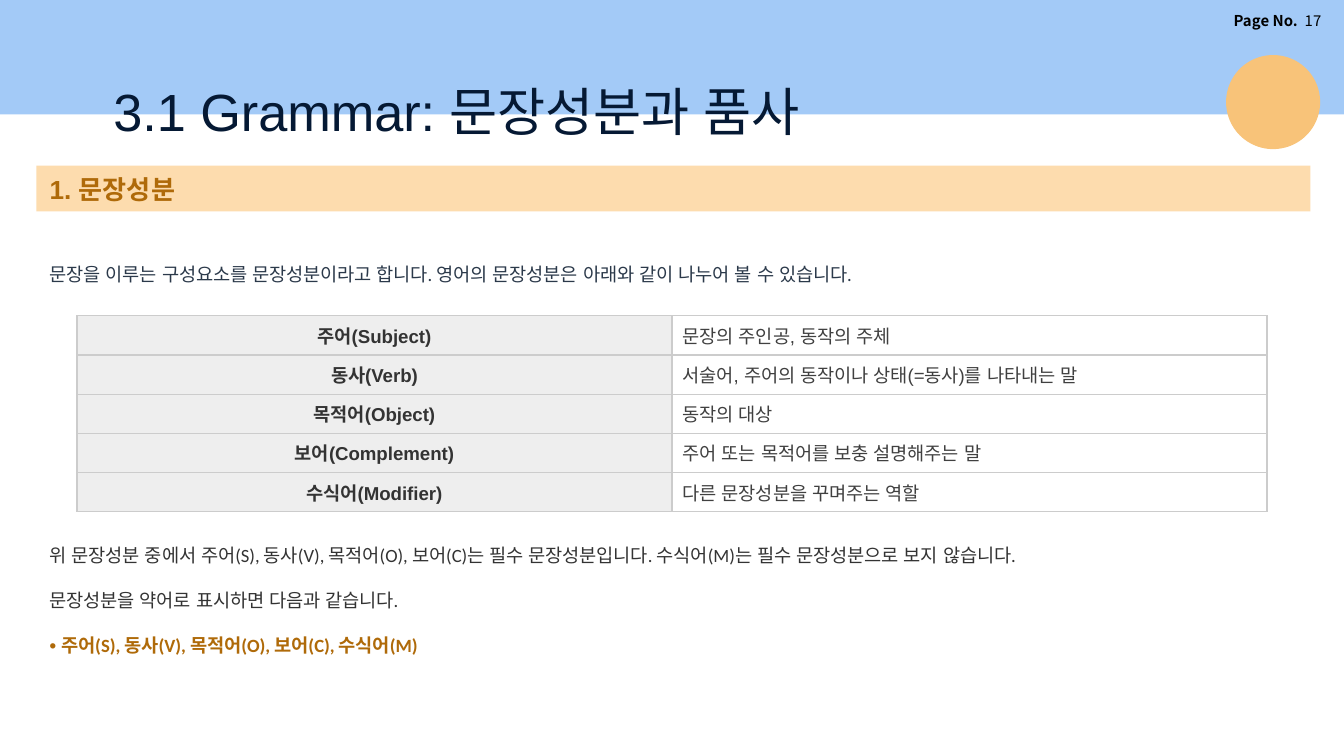
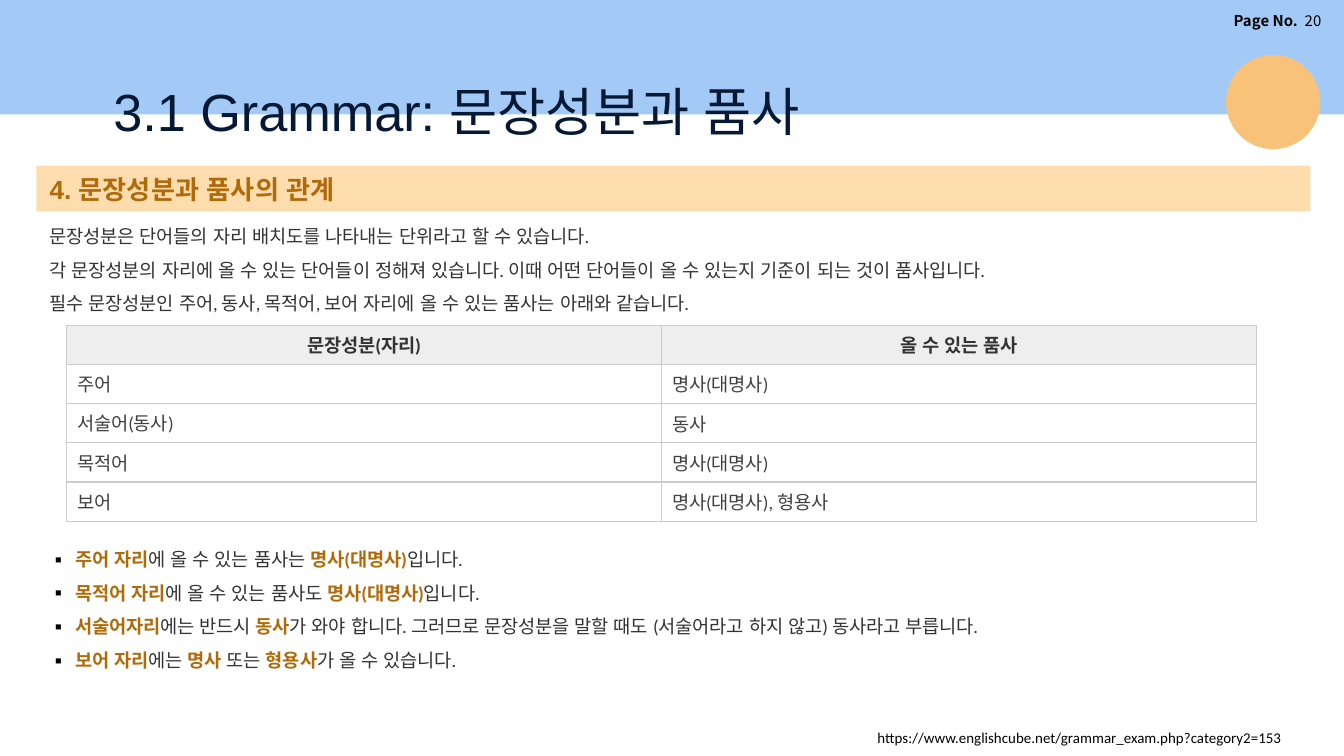
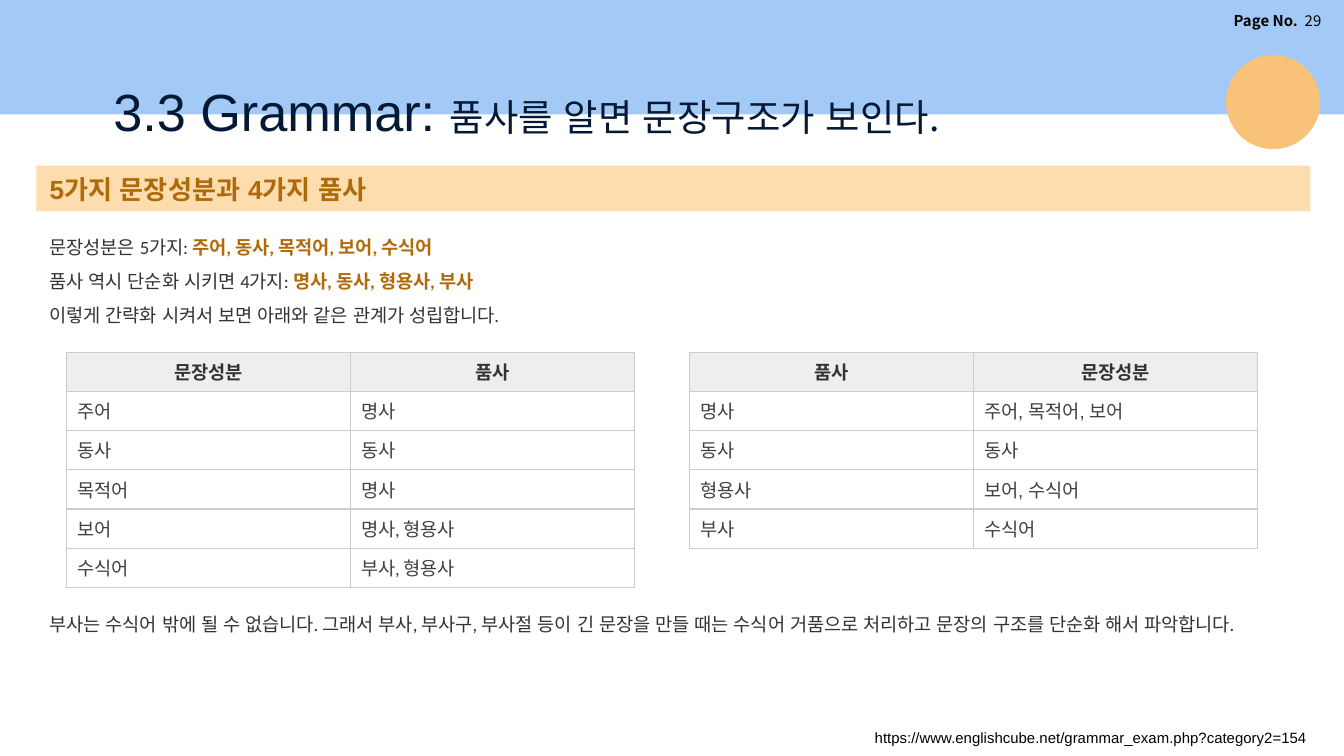
"""Build three English-grammar lesson slides on sentence elements and parts of speech."""
from dataclasses import dataclass
from typing import NamedTuple

from lxml import etree
from pptx import Presentation
from pptx.dml.color import RGBColor
from pptx.enum.shapes import MSO_SHAPE
from pptx.enum.text import MSO_ANCHOR, PP_ALIGN
from pptx.oxml.ns import qn
from pptx.util import Emu, Inches, Pt

RECTANGLE, OVAL = MSO_SHAPE.RECTANGLE, MSO_SHAPE.OVAL
TOP, MIDDLE = MSO_ANCHOR.TOP, MSO_ANCHOR.MIDDLE
LEFT, CENTER, RIGHT = PP_ALIGN.LEFT, PP_ALIGN.CENTER, PP_ALIGN.RIGHT

SKY = RGBColor(0xA3, 0xCA, 0xF7)
SUN = RGBColor(0xF8, 0xC3, 0x79)
PEACH = RGBColor(0xFD, 0xDC, 0xAE)
BROWN = RGBColor(0xAF, 0x6A, 0x09)
NAVY = RGBColor(0x05, 0x19, 0x34)
SLATE = RGBColor(0x2B, 0x39, 0x4A)
CHARCOAL = RGBColor(0x33, 0x33, 0x33)
GRAY = RGBColor(0x40, 0x40, 0x40)
PALE = RGBColor(0xEE, 0xEE, 0xEE)
WHITE = RGBColor(0xFF, 0xFF, 0xFF)
BLACK = RGBColor(0, 0, 0)
BORDER = "CCCCCC"
ARIAL, CALIBRI, KOREAN = "Arial", "Calibri", "Noto Sans CJK KR"

SLIDE_WIDTH = Inches(10)
SLIDE_HEIGHT = Emu(SLIDE_WIDTH * 9 // 16)
UNIT = SLIDE_WIDTH / 100
TABLE_ROW = 2.92
CELL_TOP, CELL_BOTTOM = Inches(0.07), Inches(0.05)
BULLET_INDENT = Inches(0.19)


class Box(NamedTuple):
    """Place on a grid of square cells, 100 to the slide's width."""
    left: float
    top: float
    width: float
    height: float

    def emu(self) -> list[Emu]:
        return [Emu(round(cells * UNIT)) for cells in self]


@dataclass(frozen=True)
class Run:
    """Stretch of text in one style."""
    text: str
    color: RGBColor = CHARCOAL
    bold: bool = False
    size: float = 10
    font: str = CALIBRI


@dataclass(frozen=True)
class Passage:
    """Text block with its paragraphs."""
    box: Box
    lines: list[list[Run]]
    line_spacing: float = 1
    gap: float = 0
    bullet: str = ""
    anchor: MSO_ANCHOR = TOP
    align: PP_ALIGN = LEFT


@dataclass(frozen=True)
class Grid:
    """Two-column table with a header row or a header column."""
    left: float
    top: float
    column: float
    rows: list[tuple[str, str]]
    font: str = CALIBRI
    header_column: bool = False


@dataclass(frozen=True)
class Lesson:
    """Content of one slide."""
    page: str
    title: list[Run]
    section: str
    passages: list[Passage]
    grids: list[Grid]


def key(text: str) -> Run:
    """Return a highlighted run."""
    return Run(text, BROWN, True)


def heading(text: str, size: float = 28, font: str = ARIAL) -> Run:
    """Return a run of the slide title."""
    return Run(text, NAVY, size=size, font=font)


def source(left: float, width: float, category: int, font: str) -> Passage:
    """Return the web address at the foot of the slide."""
    address = f"https://www.englishcube.net/grammar_exam.php?category2={category}"
    return Passage(Box(left, 53.7, width, 2.4), [[Run(address, BLACK, size=8, font=font)]])


def write(paragraph, runs: list[Run]) -> None:
    """Append styled runs to a paragraph."""
    for item in runs:
        run = paragraph.add_run()
        run.text = item.text
        run.font.size = Pt(item.size)
        run.font.bold = item.bold
        run.font.color.rgb = item.color
        run.font.name = item.font
        etree.SubElement(run.font._element, qn("a:ea"), typeface=ARIAL)


def add_bullet(paragraph, mark: str) -> None:
    """Give a paragraph a black hanging bullet."""
    properties = paragraph._p.get_or_add_pPr()
    properties.set("marL", str(BULLET_INDENT))
    properties.set("indent", str(-BULLET_INDENT))
    color = etree.SubElement(properties, qn("a:buClr"))
    etree.SubElement(color, qn("a:srgbClr"), val=str(BLACK))
    etree.SubElement(properties, qn("a:buFont"), typeface=KOREAN)
    etree.SubElement(properties, qn("a:buChar"), char=mark)


def add_passage(slide, passage: Passage) -> None:
    """Draw a wrapped text block."""
    frame = slide.shapes.add_textbox(*passage.box.emu()).text_frame
    frame.word_wrap = True
    frame.vertical_anchor = passage.anchor
    for index, runs in enumerate(passage.lines):
        paragraph = frame.add_paragraph() if index else frame.paragraphs[0]
        if passage.bullet:
            add_bullet(paragraph, passage.bullet)
        paragraph.alignment = passage.align
        paragraph.line_spacing = passage.line_spacing
        if index and passage.gap:
            paragraph.space_before = Pt(passage.gap)
        write(paragraph, runs)


def add_block(slide, kind: MSO_SHAPE, box: Box, color: RGBColor):
    """Draw a flat filled shape."""
    block = slide.shapes.add_shape(kind, *box.emu())
    block.shadow.inherit = False
    block.fill.solid()
    block.fill.fore_color.rgb = color
    block.line.fill.background()
    return block


def add_borders(cell) -> None:
    """Rule all four sides of a table cell."""
    properties = cell._tc.get_or_add_tcPr()
    for side in ("lnL", "lnR", "lnT", "lnB"):
        line = etree.SubElement(properties, qn(f"a:{side}"), w=str(Pt(0.75)))
        fill = etree.SubElement(line, qn("a:solidFill"))
        etree.SubElement(fill, qn("a:srgbClr"), val=BORDER)


def add_grid(slide, grid: Grid) -> None:
    """Draw a ruled two-column table."""
    box = Box(grid.left, grid.top, 2 * grid.column, TABLE_ROW * len(grid.rows))
    table = slide.shapes.add_table(len(grid.rows), 2, *box.emu()).table
    table.first_row = table.horz_banding = False
    for row, texts in enumerate(grid.rows):
        for column, text in enumerate(texts):
            header = (column if grid.header_column else row) == 0
            cell = table.cell(row, column)
            add_borders(cell)
            cell.fill.solid()
            cell.fill.fore_color.rgb = PALE if header else WHITE
            cell.vertical_anchor = MIDDLE
            cell.margin_top, cell.margin_bottom = CELL_TOP, CELL_BOTTOM
            cell.margin_left = Inches(0.1 if header else 0.08)
            cell.margin_right = Inches(0.1 if header else 0.05)
            paragraph = cell.text_frame.paragraphs[0]
            paragraph.alignment = CENTER if header else LEFT
            write(paragraph, [Run(text, CHARCOAL if header else GRAY, header, font=grid.font)])


def add_frame(slide, lesson: Lesson) -> None:
    """Draw the band, page number, title, section bar and sun."""
    add_block(slide, RECTANGLE, Box(0, 0, 100, 8.52), SKY)
    page = [Run("Page No. ", BLACK, True, 8, KOREAN),
            Run(f" {lesson.page}", BLACK, False, 8, KOREAN)]
    add_passage(slide, Passage(Box(84.8, 0.4, 14.5, 2.3), [page], align=RIGHT))
    add_passage(slide, Passage(Box(7.45, 5.4, 77.3, 5.8), [lesson.title]))
    section = add_block(slide, RECTANGLE, Box(2.7, 12.33, 94.8, 3.4), PEACH).text_frame
    section.word_wrap = True
    section.vertical_anchor = MIDDLE
    section.paragraphs[0].alignment = LEFT
    write(section.paragraphs[0], [Run(lesson.section, BROWN, True, 14, ARIAL)])
    add_block(slide, OVAL, Box(91.23, 4.1, 7, 7), SUN)


ELEMENTS_TITLE = [heading("3.1 Grammar: 문장성분과 품사")]

LESSONS = [
    Lesson(
        "17", ELEMENTS_TITLE, "1. 문장성분",
        [
            Passage(Box(2.7, 17.6, 94.8, 3.9), [[Run(
                "문장을 이루는 구성요소를 문장성분이라고 합니다. "
                "영어의 문장성분은 아래와 같이 나누어 볼 수 있습니다.", SLATE)]],
                line_spacing=2, anchor=MIDDLE),
            Passage(Box(2.7, 40, 94.8, 9.4), [
                [Run("위 문장성분 중에서 주어(S), 동사(V), 목적어(O), 보어(C)는 필수 문장성분입니다. "
                     "수식어(M)는 필수 문장성분으로 보지 않습니다.")],
                [Run("문장성분을 약어로 표시하면 다음과 같습니다.")],
                [key("• 주어(S), 동사(V), 목적어(O), 보어(C), 수식어(M)")],
            ], gap=12),
        ],
        [Grid(5.73, 23.5, 44.27, [
            ("주어(Subject)", "문장의 주인공, 동작의 주체"),
            ("동사(Verb)", "서술어, 주어의 동작이나 상태(=동사)를 나타내는 말"),
            ("목적어(Object)", "동작의 대상"),
            ("보어(Complement)", "주어 또는 목적어를 보충 설명해주는 말"),
            ("수식어(Modifier)", "다른 문장성분을 꾸며주는 역할"),
        ], ARIAL, header_column=True)],
    ),
    Lesson(
        "20", ELEMENTS_TITLE, "4. 문장성분과 품사의 관계",
        [
            Passage(Box(2.7, 15.5, 94.8, 8.3), [
                [Run("문장성분은 단어들의 자리 배치도를 나타내는 단위라고 할 수 있습니다.")],
                [Run("각 문장성분의 자리에 올 수 있는 단어들이 정해져 있습니다. "
                     "이때 어떤 단어들이 올 수 있는지 기준이 되는 것이 품사입니다.")],
                [Run("필수 문장성분인 주어, 동사, 목적어, 보어 자리에 올 수 있는 품사는 아래와 같습니다.")],
            ], line_spacing=1.5, anchor=MIDDLE),
            Passage(Box(2.7, 39.45, 95.5, 10.8), [
                [key("주어 자리"), Run("에 올 수 있는 품사는 "), key("명사(대명사)"), Run("입니다.")],
                [key("목적어 자리"), Run("에 올 수 있는 품사도 "), key("명사(대명사)"), Run("입니다.")],
                [key("서술어자리"), Run("에는 반드시 "), key("동사"),
                 Run("가 와야 합니다. 그러므로 문장성분을 말할 때도 "
                     "(서술어라고 하지 않고) 동사라고 부릅니다.")],
                [key("보어 자리"), Run("에는 "), key("명사"), Run(" 또는 "), key("형용사"),
                 Run("가 올 수 있습니다.")],
            ], line_spacing=1.5, bullet="▪"),
            source(64.3, 34.8, 153, CALIBRI),
        ],
        [Grid(4.95, 24.2, 44.27, [
            ("문장성분(자리)", "올 수 있는 품사"),
            ("주어", "명사(대명사)"),
            ("서술어(동사)", "동사"),
            ("목적어", "명사(대명사)"),
            ("보어", "명사(대명사), 형용사"),
        ])],
    ),
    Lesson(
        "29",
        [heading("3.3 Grammar: "), heading("품사를 알면 문장구조가 보인다.", 20, KOREAN)],
        "5가지 문장성분과 4가지 품사",
        [
            Passage(Box(2.7, 16.25, 94.8, 8.3), [
                [Run("문장성분은 5가지: "), key("주어, 동사, 목적어, 보어, 수식어")],
                [Run("품사 역시 단순화 시키면 4가지: "), key("명사, 동사, 형용사, 부사")],
                [Run("이렇게 간략화 시켜서 보면 아래와 같은 관계가 성립합니다.")],
            ], line_spacing=1.5),
            Passage(Box(2.7, 45.1, 94.8, 4.4), [[Run(
                "부사는 수식어 밖에 될 수 없습니다. 그래서 부사, 부사구, 부사절 등이 긴 문장을 만들 때는 "
                "수식어 거품으로 처리하고 문장의 구조를 단순화 해서 파악합니다.")]]),
            source(64.1, 35.1, 154, ARIAL),
        ],
        [
            Grid(4.95, 26.2, 21.12, [
                ("문장성분", "품사"),
                ("주어", "명사"),
                ("동사", "동사"),
                ("목적어", "명사"),
                ("보어", "명사, 형용사"),
                ("수식어", "부사, 형용사"),
            ]),
            Grid(51.3, 26.2, 21.13, [
                ("품사", "문장성분"),
                ("명사", "주어, 목적어, 보어"),
                ("동사", "동사"),
                ("형용사", "보어, 수식어"),
                ("부사", "수식어"),
            ], ARIAL),
        ],
    ),
]


def main() -> None:
    """Build and save the deck."""
    deck = Presentation()
    deck.slide_width, deck.slide_height = SLIDE_WIDTH, SLIDE_HEIGHT
    for lesson in LESSONS:
        slide = deck.slides.add_slide(deck.slide_layouts[6])
        add_frame(slide, lesson)
        for grid in lesson.grids:
            add_grid(slide, grid)
        for passage in lesson.passages:
            add_passage(slide, passage)
    deck.save("out.pptx")


if __name__ == "__main__":
    main()
